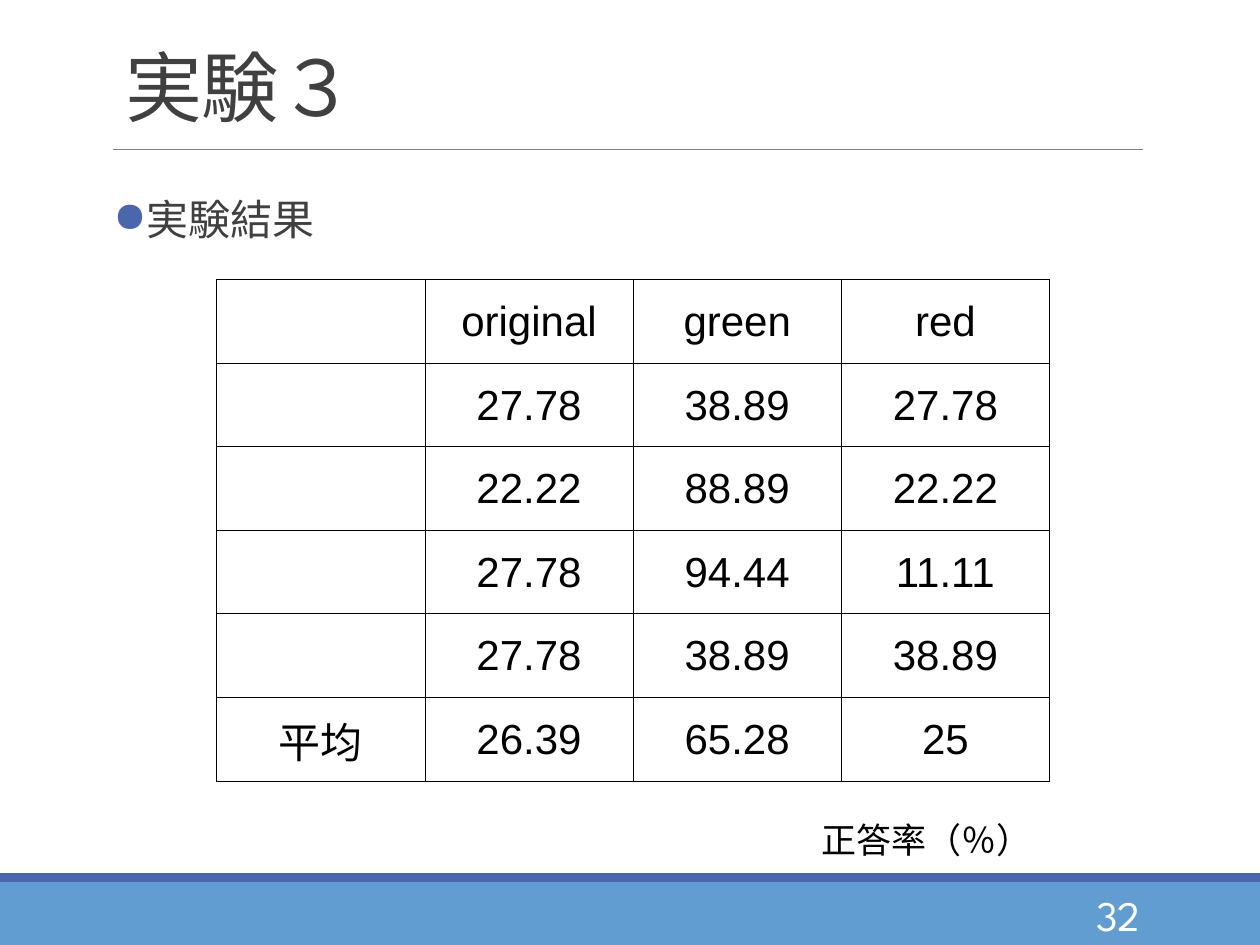
from dataclasses import dataclass

from lxml.etree import SubElement
from pptx import Presentation
from pptx.dml.color import RGBColor
from pptx.enum.shapes import MSO_CONNECTOR, MSO_SHAPE
from pptx.enum.text import MSO_ANCHOR, PP_ALIGN
from pptx.oxml.ns import qn
from pptx.util import Inches, Pt

CELL = Inches(0.1)  # the slide is a grid of 100 columns by 75 rows


@dataclass(frozen=True)
class Theme:
    heading_font: str = "League Spartan"
    table_font: str = "Arial"
    title_size: int = 44
    body_size: int = 24
    caption_size: int = 20
    text: str = "404040"
    black: str = "000000"
    white: str = "FFFFFF"
    rule: str = "808080"
    band: str = "629DD1"
    accent: str = "4A66AC"


@dataclass(frozen=True)
class Box:
    left: float
    top: float
    width: float
    height: float

    def inner(self, column, row, width, height):
        """A box given in grid units from this box's corner."""
        return Box(self.left + column, self.top + row, width, height)

    def lengths(self):
        return [round(value * CELL) for value in
                (self.left, self.top, self.width, self.height)]


THEME = Theme()
RESULTS = [
    ["", "original", "green", "red"],
    ["", "27.78", "38.89", "27.78"],
    ["", "22.22", "88.89", "22.22"],
    ["", "27.78", "94.44", "11.11"],
    ["", "27.78", "38.89", "38.89"],
    ["平均", "26.39", "65.28", "25"],
]


def apply_format(target, values):
    for name, value in values.items():
        setattr(target, name, value)


def write(paragraph, text, size, color, font=THEME.heading_font, **values):
    run = paragraph.add_run()
    run.text = text
    apply_format(run.font, {"name": font, "size": Pt(size)})
    run.font.color.rgb = RGBColor.from_string(color)
    apply_format(paragraph, values)
    return run


def add_text_box(slide, box, **values):
    frame = slide.shapes.add_textbox(*box.lengths()).text_frame
    apply_format(frame, {"word_wrap": True, **values})
    return frame.paragraphs[0]


def add_band(slide, box, color):
    shape = slide.shapes.add_shape(MSO_SHAPE.RECTANGLE, *box.lengths())
    shape.shadow.inherit = False
    shape.fill.solid()
    shape.fill.fore_color.rgb = RGBColor.from_string(color)
    shape.line.fill.background()


def add_footer(slide, box):
    # Two bands and the page number
    add_band(slide, box.inner(0, 0.7, box.width, 5), THEME.band)
    add_band(slide, box.inner(0, 0, box.width, 0.7), THEME.accent)
    paragraph = add_text_box(slide, box.inner(80.7, 1.3, 10.8, 4),
                             vertical_anchor=MSO_ANCHOR.MIDDLE)
    write(paragraph, "32", THEME.body_size, THEME.white, alignment=PP_ALIGN.RIGHT)


def add_title(slide, box):
    # Rule under the title
    left, top, width, height = box.inner(0, 9.3, 81.7, 0).lengths()
    rule = slide.shapes.add_connector(MSO_CONNECTOR.STRAIGHT, left, top, left + width, top)
    rule.line.color.rgb = RGBColor.from_string(THEME.rule)
    rule.line.width = Pt(0.5)
    SubElement(rule._element.spPr, qn("a:effectLst"))
    # Title text, slightly condensed
    paragraph = add_text_box(slide, box, vertical_anchor=MSO_ANCHOR.BOTTOM)
    run = write(paragraph, "実験３", THEME.title_size, THEME.text, line_spacing=0.85)
    run._r.get_or_add_rPr().set("spc", "-50")


def add_bullet_text(slide, box):
    paragraph = add_text_box(slide, box, margin_left=0, margin_right=0)
    properties = paragraph._p.get_or_add_pPr()
    properties.set("marL", str(Inches(0.1)))
    properties.set("indent", str(-Inches(0.1)))
    bullet_color = SubElement(properties, qn("a:buClr"))
    SubElement(bullet_color, qn("a:srgbClr"), val=THEME.accent)
    SubElement(properties, qn("a:buChar"), char="●")
    write(paragraph, "実験結果", THEME.body_size, THEME.text,
          line_spacing=0.9, space_after=Pt(2))


def add_cell_borders(cell):
    properties = cell._tc.get_or_add_tcPr()
    for position, side in enumerate(("lnL", "lnR", "lnT", "lnB")):
        line = properties.makeelement(qn(f"a:{side}"), {"w": str(Pt(0.5))})
        fill = SubElement(line, qn("a:solidFill"))
        SubElement(fill, qn("a:srgbClr"), val=THEME.black)
        properties.insert(position, line)


def add_results_table(slide, box):
    frame = slide.shapes.add_table(len(RESULTS), len(RESULTS[0]), *box.lengths())
    table = frame.table
    apply_format(table, {"first_row": False, "horz_banding": False})
    for row, texts in enumerate(RESULTS):
        for column, text in enumerate(texts):
            cell = table.cell(row, column)
            cell.fill.background()
            add_cell_borders(cell)
            apply_format(cell, {
                "vertical_anchor": MSO_ANCHOR.MIDDLE,
                "margin_left": Inches(0.01), "margin_right": Inches(0.01),
                "margin_top": Inches(0.01), "margin_bottom": 0,
            })
            if text:
                write(cell.text_frame.paragraphs[0], text, THEME.body_size,
                      THEME.black, THEME.table_font, alignment=PP_ALIGN.CENTER)


def add_caption(slide, box):
    write(add_text_box(slide, box), "正答率（％）", THEME.caption_size, THEME.black)


def main():
    presentation = Presentation()
    apply_format(presentation, {"slide_width": 100 * CELL, "slide_height": 75 * CELL})
    slide = presentation.slides.add_slide(presentation.slide_layouts[6])
    page = Box(0, 0, 100, 75)
    add_footer(slide, page.inner(0, 69.3, 100, 5.7))
    add_title(slide, page.inner(9, 2.6, 82.5, 8.4))
    add_bullet_text(slide, page.inner(9, 15.3, 82.5, 53.6))
    add_results_table(slide, page.inner(17.2, 22.2, 66.1, 39.8))
    add_caption(slide, page.inner(64.2, 64.5, 19.1, 4.4))
    presentation.save("out.pptx")


if __name__ == "__main__":
    main()
